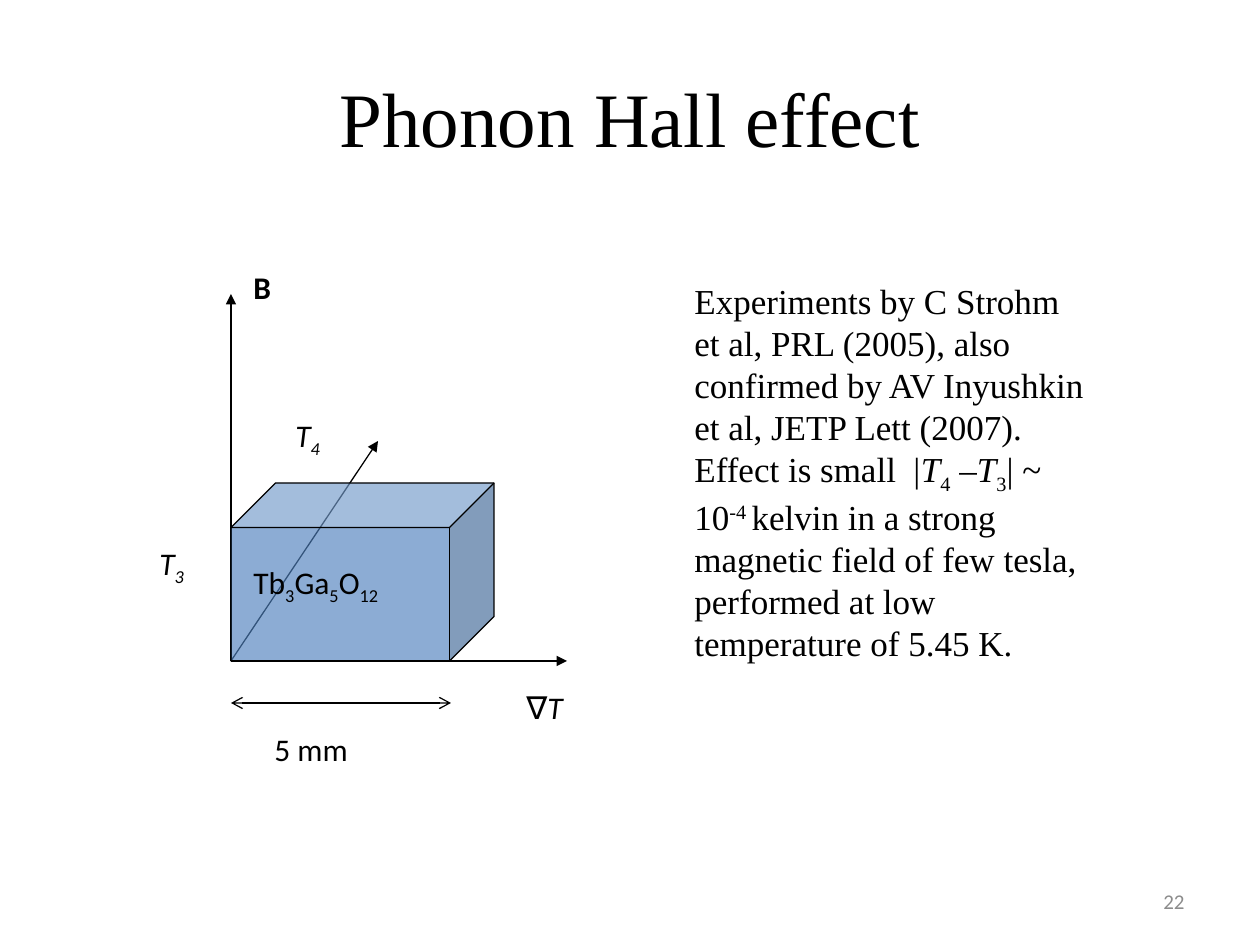
from lxml import etree
from pptx import Presentation
from pptx.dml.color import RGBColor
from pptx.enum.shapes import MSO_CONNECTOR, MSO_SHAPE
from pptx.enum.text import MSO_ANCHOR, PP_ALIGN
from pptx.oxml.ns import qn
from pptx.util import Emu, Pt

STRAIGHT = MSO_CONNECTOR.STRAIGHT
CUBE = MSO_SHAPE.CUBE
TOP, MIDDLE = MSO_ANCHOR.TOP, MSO_ANCHOR.MIDDLE
LEFT, CENTER, RIGHT = PP_ALIGN.LEFT, PP_ALIGN.CENTER, PP_ALIGN.RIGHT

EMU_PER_PX = 914400 / 126
COLORS = {"ink": "000000", "crystal": "4F81BD", "number": "8C8C8C"}
LINE_WIDTH = Pt(0.75)

# Text formats: font attributes for whole boxes
LABEL = {"name": "Calibri", "size": Pt(18)}
BODY = {"name": "Times New Roman", "size": Pt(20)}
TITLE = {"name": "Times New Roman", "size": Pt(44)}
NUMBER = {"name": "Calibri", "size": Pt(12)}

# Run formats: font attributes, plus the baseline shift in 1/1000 percent
PLAIN = {}
BOLD = {"bold": True}
ITALIC = {"italic": True}
SUB = {"baseline": -25000}
ITALIC_SUB = {**ITALIC, **SUB}
SUPER = {"baseline": 30000}


def px(value):
    return Emu(round(value * EMU_PER_PX))


def color(name):
    return RGBColor.from_string(COLORS[name])


def add_text(slide, box, runs, text_format, ink="ink", align=LEFT, anchor=TOP):
    shape = slide.shapes.add_textbox(*map(px, box))
    frame = shape.text_frame
    frame.word_wrap = True
    frame.vertical_anchor = anchor
    paragraph = frame.paragraphs[0]
    paragraph.alignment = align
    for text, run_format in runs:
        run = paragraph.add_run()
        run.text = text
        run.font.color.rgb = color(ink)
        for name, value in {**text_format, **run_format}.items():
            if name == "baseline":
                run._r.get_or_add_rPr().set(name, str(value))
            else:
                setattr(run.font, name, value)


def add_arrow(slide, start, end, head=None, tail="triangle"):
    connector = slide.shapes.add_connector(STRAIGHT, *map(px, (*start, *end)))
    connector.line.color.rgb = color("ink")
    connector.line.width = LINE_WIDTH
    line = connector.line._get_or_add_ln()
    for tag, kind in (("a:headEnd", head), ("a:tailEnd", tail)):
        if kind:
            etree.SubElement(line, qn(tag), type=kind)
    etree.SubElement(connector._element.spPr, qn("a:effectLst"))


def add_cube(slide, box, opacity):
    shape = slide.shapes.add_shape(CUBE, *map(px, box))
    shape.adjustments[0] = 0.25
    shape.shadow.inherit = False
    shape.fill.solid()
    shape.fill.fore_color.rgb = color("crystal")
    fill_color = shape._element.spPr.find(qn("a:solidFill"))[0]
    etree.SubElement(fill_color, qn("a:alpha"), val=str(opacity * 1000))
    shape.line.color.rgb = color("ink")
    shape.line.width = LINE_WIDTH


def main():
    presentation = Presentation()
    presentation.slide_width, presentation.slide_height = px(1260), px(945)
    slide = presentation.slides.add_slide(presentation.slide_layouts[6])

    # Title and slide number
    add_text(slide, (63, 38, 1134, 157), [("Phonon Hall effect", PLAIN)], TITLE,
             align=CENTER, anchor=MIDDLE)
    add_text(slide, (903, 876, 294, 50), [("22", PLAIN)], NUMBER,
             ink="number", align=RIGHT, anchor=MIDDLE)

    # Crystal in front of the diagonal and field axes, behind the gradient axis
    origin = (231, 661)
    add_arrow(slide, origin, (378, 441))
    add_arrow(slide, origin, (231, 294))
    add_cube(slide, (231, 483, 263, 178), opacity=65)
    add_arrow(slide, origin, (567, 661))

    # Length of the crystal
    add_arrow(slide, (231, 703), (451, 703), head="arrow", tail="arrow")

    # Labels
    labels = [
        ((514, 682, 74, 50), [("∇", PLAIN), ("T", ITALIC)]),
        ((147, 538, 74, 50), [("T", ITALIC), ("3", ITALIC_SUB)]),
        ((283, 410, 74, 50), [("T", ITALIC), ("4", ITALIC_SUB)]),
        ((241, 262, 53, 50), [("B", BOLD)]),
        ((241, 557, 189, 50), [("Tb", PLAIN), ("3", SUB), ("Ga", PLAIN),
                               ("5", SUB), ("O", PLAIN), ("12", SUB)]),
        ((262, 724, 210, 50), [("5 mm", PLAIN)]),
    ]
    for box, runs in labels:
        add_text(slide, box, runs, LABEL)

    # Experiment summary
    summary = [
        ("Experiments by C Strohm et al, PRL (2005), also confirmed by "
         "AV Inyushkin et al, JETP Lett (2007).  Effect is small  |", PLAIN),
        ("T", ITALIC), ("4", SUB), (" –", PLAIN), ("T", ITALIC), ("3", SUB),
        ("| ~ 10", PLAIN), ("-4 ", SUPER),
        ("kelvin in a strong magnetic field of few tesla, performed at low "
         "temperature of 5.45 K.", PLAIN),
    ]
    add_text(slide, (682, 273, 420, 394), summary, BODY)

    presentation.save("out.pptx")


if __name__ == "__main__":
    main()
